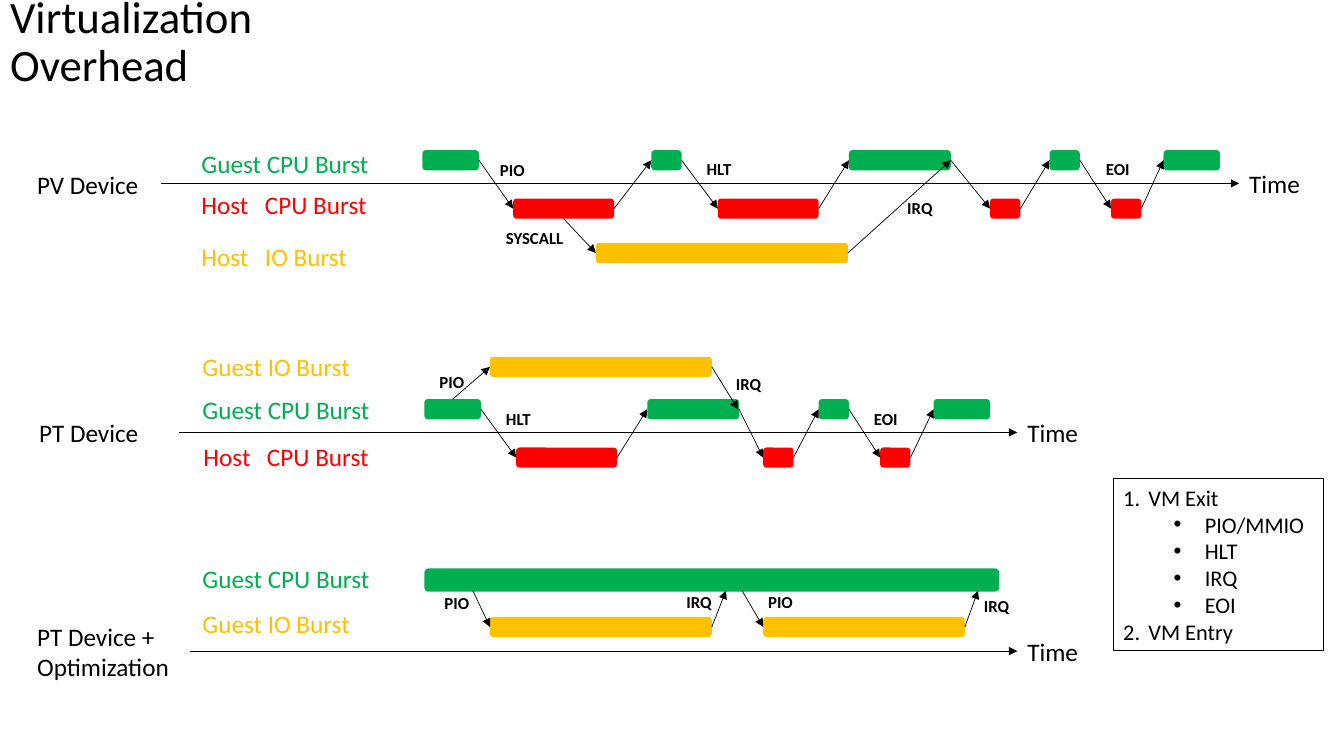
from lxml.etree import SubElement
from pptx import Presentation
from pptx.dml.color import RGBColor
from pptx.enum.shapes import MSO_CONNECTOR, MSO_SHAPE
from pptx.enum.text import MSO_ANCHOR, MSO_AUTO_SIZE, PP_ALIGN
from pptx.oxml.ns import qn
from pptx.util import Inches, Pt

BLACK = RGBColor(0x00, 0x00, 0x00)
GREEN = RGBColor(0x00, 0xB0, 0x50)
RED = RGBColor(0xFF, 0x00, 0x00)
AMBER = RGBColor(0xFF, 0xC0, 0x00)
BAR_HEIGHT = 0.2
HALF = BAR_HEIGHT / 2
HOST_TAB = 0.63

presentation = Presentation()
presentation.slide_width = Inches(13.33)
presentation.slide_height = Inches(7.5)
slide = presentation.slides.add_slide(presentation.slide_layouts[1])


def write(text, left, top, width, height, shape=None, size=18, color=BLACK,
          bold=False, fit=MSO_AUTO_SIZE.SHAPE_TO_FIT_TEXT, anchor=MSO_ANCHOR.TOP, spacing=1.0):
    box = [Inches(length) for length in (left, top, width, height)]
    if shape is None:
        shape = slide.shapes.add_textbox(*box)
    shape.left, shape.top, shape.width, shape.height = box
    frame = shape.text_frame
    frame.text = text
    frame.word_wrap = True
    frame.auto_size = fit
    frame.vertical_anchor = anchor
    for paragraph in frame.paragraphs:
        paragraph.alignment = PP_ALIGN.LEFT
        paragraph.line_spacing = spacing
        paragraph.space_before = Pt(0)
        for run in paragraph.runs:
            run.font.name = "Calibri"
            run.font.size = Pt(size)
            run.font.bold = bold
            run.font.color.rgb = color
        if "\t" in text:
            tabs = SubElement(paragraph._p.get_or_add_pPr(), qn("a:tabLst"))
            SubElement(tabs, qn("a:tab"), pos=str(Inches(HOST_TAB)), algn="l")
    return shape


def draw_arrow(start, end):
    arrow = slide.shapes.add_connector(
        MSO_CONNECTOR.STRAIGHT, *[Inches(length) for length in (*start, *end)])
    arrow.line.color.rgb = BLACK
    arrow.line.width = Pt(0.5)
    SubElement(arrow.line._get_or_add_ln(), qn("a:tailEnd"), type="triangle")
    SubElement(arrow._element.spPr, qn("a:effectLst"))


title = write("Virtualization Overhead", 0, 0, 4.44, 0.85, shape=slide.shapes.title, size=32,
              fit=MSO_AUTO_SIZE.NONE, anchor=MSO_ANCHOR.MIDDLE, spacing=0.9)
title.text_frame.margin_right = Inches(0.2)

pv_guest, pv_host, pv_io = 1.49, 1.97, 2.41
pt_io, pt_guest, pt_host = 3.54, 3.96, 4.44
opt_guest, opt_io = 5.64, 6.12

alternating_bursts = [
    (pv_guest, pv_host, [(4.19, 0.56), (5.09, 1), (6.46, 0.3), (7.12, 1), (8.42, 1.01),
                         (9.82, 0.3), (10.41, 0.3), (11.02, 0.3), (11.54, 0.56)]),
    (pt_guest, pt_host, [(4.21, 0.56), (5.12, 1), (6.42, 0.91), (7.57, 0.3),
                         (8.12, 0.3), (8.73, 0.3), (9.26, 0.56)]),
]
bars = [
    (5.91, pv_io, 2.5, BAR_HEIGHT, AMBER),
    (4.86, pt_io, 2.2, BAR_HEIGHT, AMBER),
    (4.21, opt_guest, 5.7, 0.23, GREEN),
    (4.86, opt_io, 2.2, BAR_HEIGHT, AMBER),
    (7.57, opt_io, 2, BAR_HEIGHT, AMBER),
]
arrows = [
    ((5.59, pv_host + BAR_HEIGHT), (5.91, pv_io + HALF)),
    ((8.41, pv_io + HALF), (9.43, pv_guest + HALF)),
    ((4.49, pt_guest), (4.86, pt_io + HALF)),
    ((7.06, pt_io + HALF), (7.32, pt_guest + HALF)),
    ((4.69, 5.86), (4.86, opt_io + HALF)),
    ((7.06, opt_io + HALF), (7.2, 5.86)),
    ((7.36, 5.86), (7.57, opt_io + HALF)),
    ((9.57, opt_io + HALF), (9.7, 5.86)),
]
for guest, host, bursts in alternating_bursts:
    lanes = [(guest, GREEN), (host, RED)]
    for index, (left, width) in enumerate(bursts):
        top, color = lanes[index % 2]
        bars.append((left, top, width, BAR_HEIGHT, color))
        if index + 1 < len(bursts):
            next_left = bursts[index + 1][0]
            next_top = lanes[(index + 1) % 2][0]
            arrows.append(((left + width, top + HALF), (next_left, next_top + HALF)))

for left, top, width, height, color in bars:
    bar = slide.shapes.add_shape(MSO_SHAPE.ROUNDED_RECTANGLE, Inches(left), Inches(top),
                                 Inches(width), Inches(height))
    bar.shadow.inherit = False
    bar.fill.solid()
    bar.fill.fore_color.rgb = color
    bar.line.fill.background()

for start, end in arrows:
    draw_arrow(start, end)

timelines = [
    ("PV Device", 0.27, 1.63, 1.33, 0.4, 1.6, 12.29, 1.82),
    ("PT Device", 0.29, 4.09, 1.49, 0.4, 1.78, 10.09, 4.29),
    ("PT Device + Optimization", 0.27, 6.11, 1.62, 0.71, 1.88, 10.09, 6.46),
]
for name, left, top, width, height, axis_start, axis_end, axis in timelines:
    write(name, left, top, width, height)
    draw_arrow((axis_start, axis), (axis_end, axis))
    write("Time", axis_end, axis - 0.2, 0.71, 0.4)

lane_labels = [
    ("Guest CPU Burst", 1.9, 1.42, GREEN),
    ("Host\tCPU Burst", 1.9, 1.83, RED),
    ("Host\tIO Burst", 1.9, 2.34, AMBER),
    ("Guest IO Burst", 1.91, 3.44, AMBER),
    ("Guest CPU Burst", 1.91, 3.86, GREEN),
    ("Host\tCPU Burst", 1.92, 4.33, RED),
    ("Guest CPU Burst", 1.91, 5.54, GREEN),
    ("Guest IO Burst", 1.91, 5.99, AMBER),
]
for text, left, top, color in lane_labels:
    write(text, left, top, 1.9, 0.4, color=color)

event_labels = [
    ("PIO", [(4.86, 1.54), (4.26, 3.64), (4.31, 5.83), (7.52, 5.82)]),
    ("HLT", [(6.91, 1.53), (4.92, 4.01)]),
    ("IRQ", [(8.9, 1.91), (7.2, 3.66), (6.71, 5.82), (9.66, 5.86)]),
    ("EOI", [(10.87, 1.53), (8.57, 4.01)]),
    ("SYSCALL", [(4.92, 2.21)]),
]
for text, places in event_labels:
    for left, top in places:
        write(text, left, top, 0.84 if text == "SYSCALL" else 0.5, 0.3, size=12, bold=True)

legend = write("VM Exit\nPIO/MMIO\nHLT\nIRQ\nEOI\nVM Entry", 11.04, 4.75, 2.09, 1.72,
               shape=slide.placeholders[1], size=16)
legend.line.color.rgb = BLACK
legend.line.width = Pt(0.75)
for paragraph in legend.text_frame.paragraphs:
    numbered = paragraph.text.startswith("VM")
    paragraph.level = 0 if numbered else 1
    margin, indent = (0.25, -0.25) if numbered else (0.81, -0.31)
    properties = paragraph._p.get_or_add_pPr()
    properties.set("marL", str(Inches(margin)))
    properties.set("indent", str(Inches(indent)))
    SubElement(properties, qn("a:buFont"), typeface="Calibri" if numbered else "Arial")
    if numbered:
        SubElement(properties, qn("a:buAutoNum"), type="arabicPeriod")
    else:
        SubElement(properties, qn("a:buChar"), char="•")

presentation.save("out.pptx")
